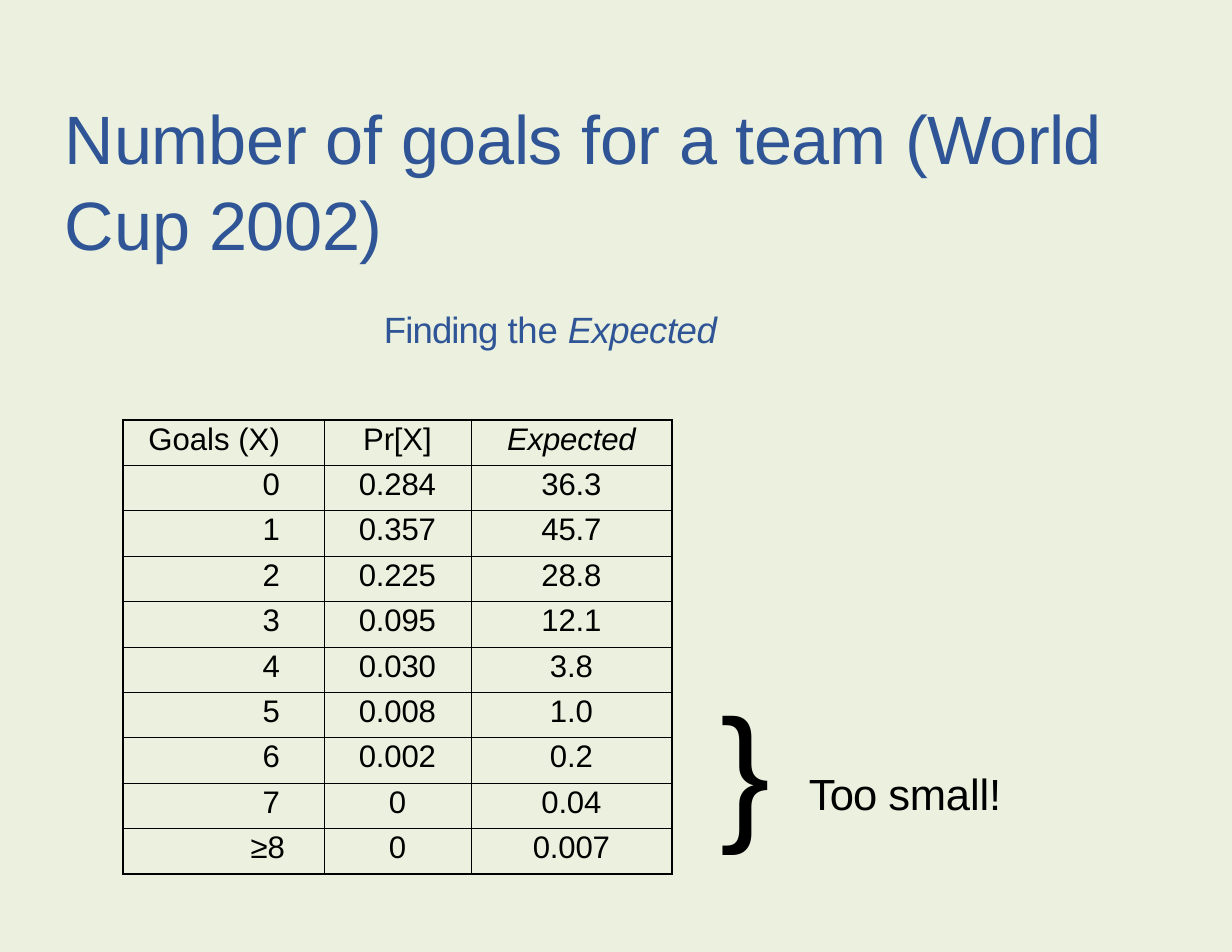
"""Build the slide on expected goal counts per team."""
from pptx import Presentation
from pptx.dml.color import RGBColor
from pptx.enum.text import MSO_ANCHOR, MSO_AUTO_SIZE, PP_ALIGN
from pptx.oxml.ns import qn
from pptx.util import Emu, Pt
from lxml import etree

LEFT, MID, RIGHT = PP_ALIGN.LEFT, PP_ALIGN.CENTER, PP_ALIGN.RIGHT
TOP, NONE = MSO_ANCHOR.TOP, MSO_AUTO_SIZE.NONE
CREAM = RGBColor(0xEB, 0xF1, 0xDE)
BLUE = RGBColor(0x2F, 0x55, 0x97)
BLACK = RGBColor(0, 0, 0)


def px(n):
    return Emu(round(n * 914400 / 112))


def write(frame, runs, size, color=BLACK, align=LEFT, before=1.4, line=1.0):
    para = frame.paragraphs[0]
    para.alignment = align
    para.space_before = Pt(before)
    para.line_spacing = line
    for text, gap, slant in runs:
        run = para.add_run()
        run.text = text
        font = run.font
        font.name, font.size, font.italic = "Arial", Pt(size), slant
        font.color.rgb = color
        font._element.set("spc", str(round(gap * 100)))


deck = Presentation()
deck.slide_width, deck.slide_height = px(1232), px(952)
slide = deck.slides.add_slide(deck.slide_layouts[5])
slide.background.fill.solid()
slide.background.fill.fore_color.rgb = CREAM

title = slide.shapes.title
title.left, title.top, title.width, title.height = px(65), px(84), px(1044), px(172)
frame = title.text_frame
frame.auto_size, frame.word_wrap, frame.vertical_anchor = NONE, True, TOP
frame.margin_left = frame.margin_right = frame.margin_bottom = 0
frame.margin_top = px(9)
words = [("Number of ", -0.2), ("goals ", -0.3), ("for ", -0.2), ("a ", -0.8),
         ("team ", -0.2), ("(World ", -0.6), ("Cup ", -0.1), ("2002)", -0.3)]
write(frame, [(text, gap, False) for text, gap in words], 44, BLUE, before=0, line=1.04)

notes = [
    (384, 305, 345, 48, 23.5, BLUE,
     [("Finding ", -0.6, False), ("the ", -0.2, False), ("Expected", -0.3, True)]),
    (720, 673, 52, 183, 96, BLACK, [("}", 0.1, False)]),
    (809, 765, 265, 54, 28, BLACK, [("Too ", -0.6, False), ("small!", -0.1, False)]),
]
for left, top, width, height, size, color, runs in notes:
    frame = slide.shapes.add_textbox(px(left), px(top), px(width), px(height)).text_frame
    frame.word_wrap = True
    frame.margin_left = frame.margin_right = frame.margin_bottom = 0
    frame.margin_top = px(2)
    write(frame, runs, size, color)

rows = [
    ("Goals (X)", "Pr[X]", "Expected"),
    ("0", "0.284", "36.3"),
    ("1", "0.357", "45.7"),
    ("2", "0.225", "28.8"),
    ("3", "0.095", "12.1"),
    ("4", "0.030", "3.8"),
    ("5", "0.008", "1.0"),
    ("6", "0.002", "0.2"),
    ("7", "0", "0.04"),
    ("≥8", "0", "0.007"),
]
widths = [201, 147, 201]
last = len(rows) - 1
grid = slide.shapes.add_table(len(rows), 3, px(123), px(420), px(549), px(454)).table
grid.first_row = grid.horz_banding = False
for col, width in zip(grid.columns, widths):
    col.width = px(width)
for r, row in enumerate(rows):
    grid.rows[r].height = px(454) // len(rows)
    for c, text in enumerate(row):
        cell = grid.cell(r, c)
        cell.fill.background()
        cell.vertical_anchor = TOP
        cell.margin_left = cell.margin_bottom = 0
        cell.margin_top = px(2)
        cell.margin_right = px(0 if c else 39 if r == last else 44)
        gap = -0.1 if c and len(text) > 1 else 0
        write(cell.text_frame, [(text, gap, text == "Expected")], 20,
              align=MID if c else RIGHT)
        props = cell._tc.get_or_add_tcPr()
        edges = [("a:lnL", c == 0), ("a:lnR", c == 2), ("a:lnT", r == 0), ("a:lnB", r == last)]
        for i, (tag, outer) in enumerate(edges):
            edge = etree.Element(qn(tag), w=str(Pt(1.5 if outer else 0.5)))
            fill = etree.SubElement(edge, qn("a:solidFill"))
            etree.SubElement(fill, qn("a:srgbClr"), val=str(BLACK))
            props.insert(i, edge)

deck.save("out.pptx")
